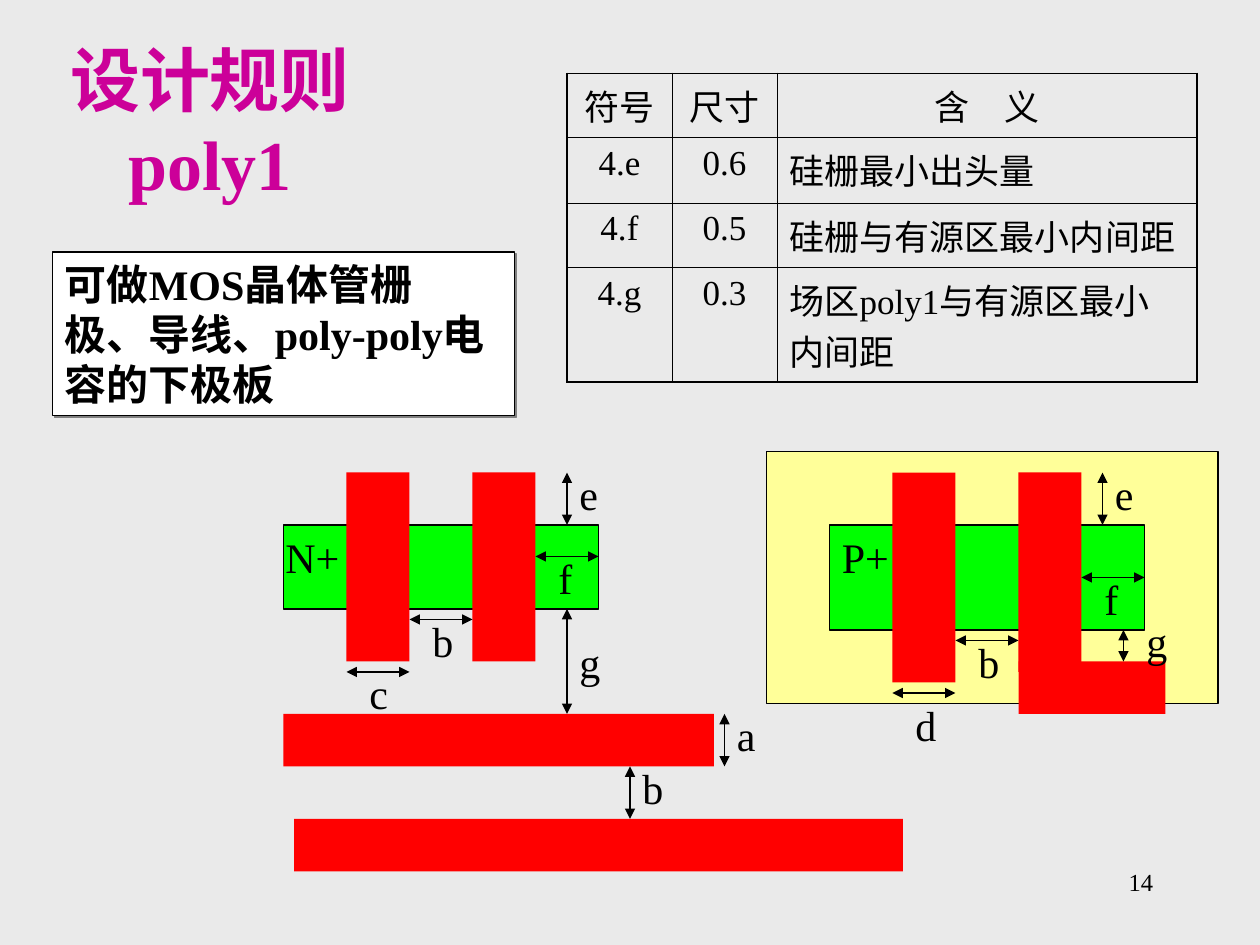
from dataclasses import dataclass

from lxml import etree
from pptx import Presentation
from pptx.dml.color import RGBColor
from pptx.enum import shapes, text
from pptx.oxml.ns import qn
from pptx.util import Inches, Pt


@dataclass(frozen=True)
class Theme:
    font: str = "Times New Roman"
    background: str = "EAEAEA"
    ink: str = "000000"
    title: str = "CC0099"
    paper: str = "FFFFFF"
    shadow: str = "808080"
    well: str = "FFFF99"
    active: str = "00FF00"
    poly: str = "FF0000"
    title_size: int = 40
    body_size: int = 24
    table_size: int = 20
    page_size: int = 14
    line: float = 0.75
    outer_border: float = 1.08
    inner_border: float = 0.45


THEME = Theme()
LEFT, CENTER, RIGHT = text.PP_ALIGN.LEFT, text.PP_ALIGN.CENTER, text.PP_ALIGN.RIGHT

# Content; places are in twelfths of an inch: left, top, width, height
TITLE = ("设计规则\vpoly1", (1, 6, 38, 11))
NOTE = ("可做MOS晶体管栅极、导线、poly-poly电容的下极板", (5, 24, 44, 15.6))
PAGE = ("14", (86, 82, 25, 6))

RULES = [
    ("符号", "尺寸", "含　义"),
    ("4.e", "0.6", "硅栅最小出头量"),
    ("4.f", "0.5", "硅栅与有源区最小内间距"),
    ("4.g", "0.3", "场区poly1与有源区最小内间距"),
]
RULES_AT = (54, 7)
COLUMN_WIDTHS = (10, 10, 40)
ROW_HEIGHTS = (0.51, 0.52, 0.51, 0.91)  # inches

# Layout layers: fill, outlined, place
LAYERS = [
    (THEME.well, True, (73, 43, 43, 24)),
    (THEME.active, True, (27, 50, 30, 8)),
    (THEME.poly, False, (33, 45, 6, 18)),
    (THEME.poly, False, (45, 45, 6, 18)),
    (THEME.poly, False, (27, 68, 41, 5)),
    (THEME.active, True, (79, 50, 30, 10)),
    (THEME.poly, False, (85, 45, 6, 20)),
    (THEME.poly, False, (97, 45, 6, 19)),
    (THEME.poly, False, (28, 78, 58, 5)),
    (THEME.poly, False, (97, 63, 14, 5)),
]
REGIONS = [("N+", 26, 50), ("P+", 79, 50)]

# Dimensions: letter, letter's left and top, arrow start, arrow end
DIMENSIONS = [
    ("c", (34, 63), (33, 64), (39, 64)),
    ("b", (40, 58), (39, 59), (45, 59)),
    ("g", (54, 60), (54, 58), (54, 68)),
    ("b", (60, 72), (60, 73), (60, 78)),
    ("e", (54, 44), (54, 45), (54, 50)),
    ("a", (69, 67), (69, 68), (69, 73)),
    ("f", (52, 52), (51, 53), (57, 53)),
    ("e", (105, 44), (105, 45), (105, 50)),
    ("b", (92, 60), (91, 61), (97, 61)),
    ("g", (108, 58), (107, 60), (107, 63)),
    ("f", (104, 54), (103, 55), (109, 55)),
    ("d", (86, 66), (85, 66), (91, 66)),
]


def grid(*units):
    return [Inches(unit / 12) for unit in units]


def rgb(color):
    return RGBColor.from_string(color)


def write(frame, words, size, align=LEFT, color=THEME.ink, bold=False):
    frame.text = words
    frame.word_wrap = True
    paragraph = frame.paragraphs[0]
    paragraph.alignment = align
    font = paragraph.font
    font.name, font.size, font.bold = THEME.font, Pt(size), bold
    font.color.rgb = rgb(color)


def add_label(slide, words, place, size=THEME.body_size, align=LEFT):
    label = slide.shapes.add_textbox(*grid(*place))
    write(label.text_frame, words, size, align)


def add_box(slide, place, fill, outlined):
    box = slide.shapes.add_shape(shapes.MSO_SHAPE.RECTANGLE, *grid(*place))
    box.shadow.inherit = False
    box.fill.solid()
    box.fill.fore_color.rgb = rgb(fill)
    if outlined:
        box.line.color.rgb = rgb(THEME.ink)
        box.line.width = Pt(THEME.line)
    else:
        box.line.fill.background()
    return box


def side_middles(place):
    left, top, width, height = place
    x, y = left + width / 2, top + height / 2
    return [(x, top), (left, y), (x, top + height), (left + width, y)]


def add_arrow(slide, start, end, joints):
    arrow = slide.shapes.add_connector(
        shapes.MSO_CONNECTOR.STRAIGHT, *grid(*start, *end))
    arrow.line.color.rgb = rgb(THEME.ink)
    arrow.line.width = Pt(THEME.line)
    for tag in ("a:headEnd", "a:tailEnd"):
        etree.SubElement(arrow.line._get_or_add_ln(), qn(tag), type="triangle")
    etree.SubElement(arrow._element.spPr, qn("a:effectLst"))
    if start in joints:
        arrow.begin_connect(*joints[start])
    if end in joints:
        arrow.end_connect(*joints[end])


def add_borders(cell, outer_sides):
    properties = cell._tc.get_or_add_tcPr()
    for index, (side, outer) in enumerate(outer_sides.items()):
        width = THEME.outer_border if outer else THEME.inner_border
        border = etree.Element(qn(f"a:ln{side}"), w=str(Pt(width)))
        fill = etree.SubElement(border, qn("a:solidFill"))
        etree.SubElement(fill, qn("a:srgbClr"), val=THEME.ink)
        properties.insert(index, border)


def add_rules(slide):
    rows, columns = len(RULES), len(COLUMN_WIDTHS)
    rules = slide.shapes.add_table(
        rows, columns, *grid(*RULES_AT, sum(COLUMN_WIDTHS)),
        Inches(sum(ROW_HEIGHTS))).table
    rules.first_row = rules.horz_banding = False
    for column, width in zip(rules.columns, grid(*COLUMN_WIDTHS)):
        column.width = width
    for row, height in zip(rules.rows, ROW_HEIGHTS):
        row.height = Inches(height)
    for r, rule in enumerate(RULES):
        for c, words in enumerate(rule):
            cell = rules.cell(r, c)
            align = LEFT if r and c == columns - 1 else CENTER
            write(cell.text_frame, words, THEME.table_size, align)
            cell.fill.background()
            add_borders(cell, {"L": c == 0, "R": c == columns - 1,
                               "T": r == 0, "B": r == rows - 1})


def add_note(slide):
    words, place = NOTE
    note = add_box(slide, place, THEME.paper, True)
    frame = note.text_frame
    frame.vertical_anchor = text.MSO_ANCHOR.TOP
    frame.margin_right = Inches(0.15)
    write(frame, words, THEME.body_size, bold=True)
    # Keep punctuation inside the box
    frame.paragraphs[0]._p.get_or_add_pPr().set("hangingPunct", "0")
    effects = note._element.spPr.find(qn("a:effectLst"))
    shadow = etree.SubElement(effects, qn("a:outerShdw"), dist=str(Pt(1.4)),
                              dir="2700000", algn="ctr", rotWithShape="0")
    etree.SubElement(shadow, qn("a:srgbClr"), val=THEME.shadow)


def main():
    deck = Presentation()
    deck.slide_width, deck.slide_height = Inches(10), Inches(7.5)
    slide = deck.slides.add_slide(deck.slide_layouts[5])
    slide.background.fill.solid()
    slide.background.fill.fore_color.rgb = rgb(THEME.background)

    # Title, page number and rule table
    title = slide.shapes.title
    title.left, title.top, title.width, title.height = grid(*TITLE[1])
    title.text_frame.auto_size = text.MSO_AUTO_SIZE.NONE
    title.text_frame.vertical_anchor = text.MSO_ANCHOR.MIDDLE
    write(title.text_frame, TITLE[0], THEME.title_size, CENTER, THEME.title, True)
    add_label(slide, *PAGE, THEME.page_size, RIGHT)
    add_rules(slide)

    # Transistor layout, with the side middles that arrows may join
    joints = {}
    for fill, outlined, place in LAYERS:
        layer = add_box(slide, place, fill, outlined)
        for site, point in enumerate(side_middles(place)):
            joints[point] = (layer, site)
    for name, left, top in REGIONS:
        add_label(slide, name, (left, top, 9, 6))

    # Dimension arrows and letters
    for letter, corner, start, end in DIMENSIONS:
        add_arrow(slide, start, end, joints)
        add_label(slide, letter, (*corner, 5, 6))

    add_note(slide)
    deck.save("out.pptx")


if __name__ == "__main__":
    main()
